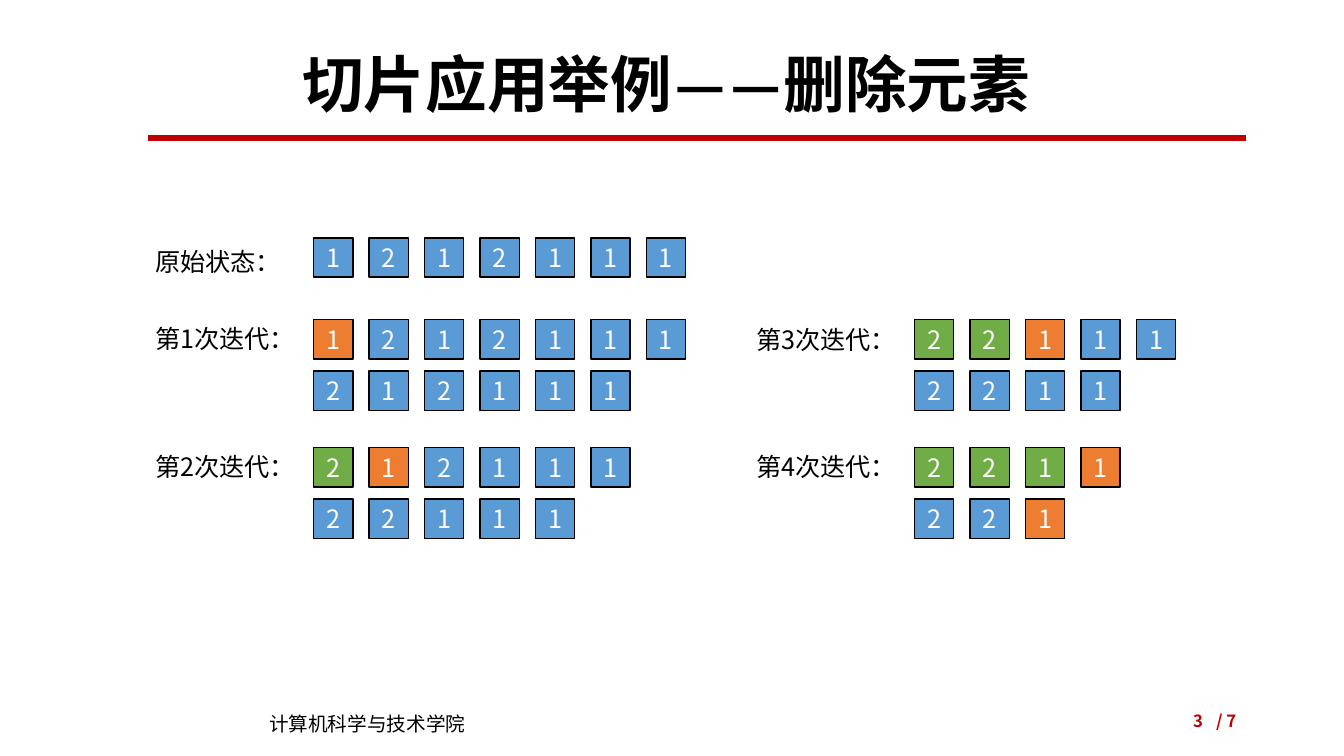
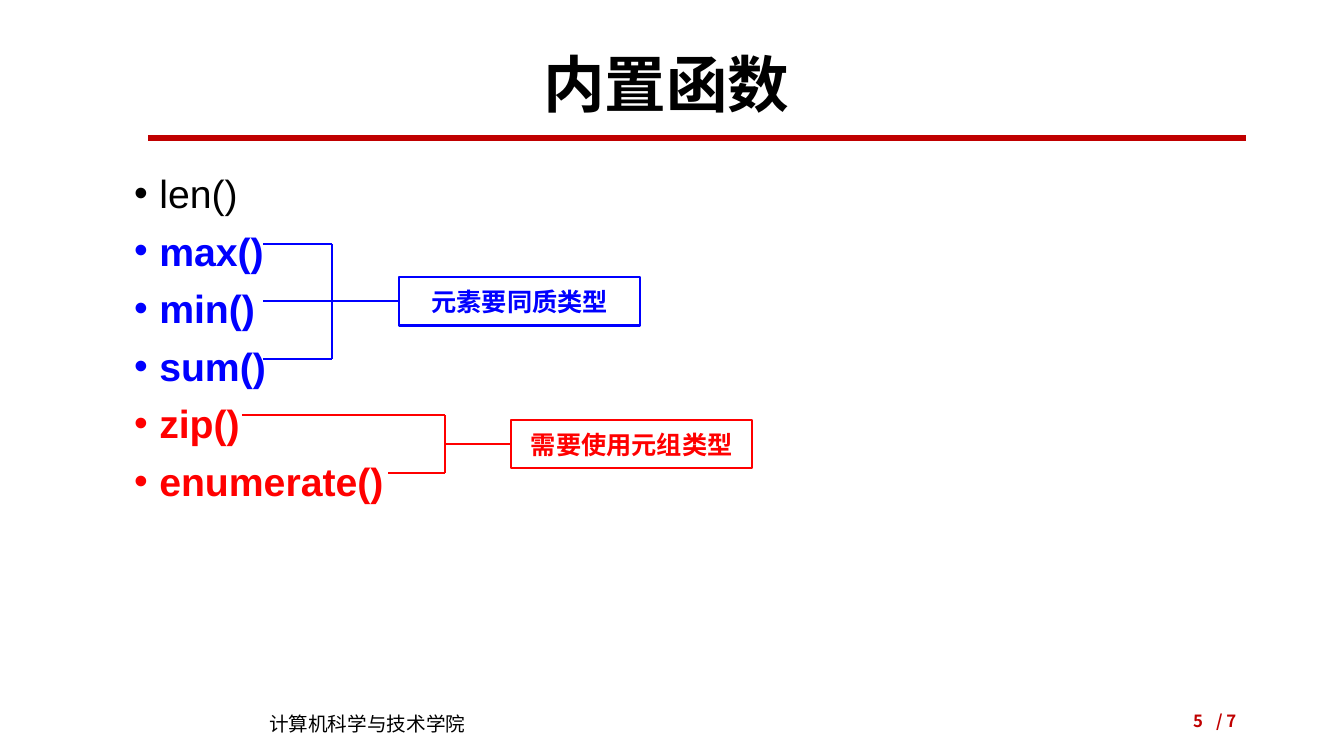
import pptx
import pptx.dml.color
import pptx.enum.shapes
import pptx.enum.text
import pptx.oxml
import pptx.oxml.ns
import pptx.util
from lxml import etree

Inches = pptx.util.Inches
Pt = pptx.util.Pt
ALIGN = pptx.enum.text.PP_ALIGN
MIDDLE = pptx.enum.text.MSO_ANCHOR.MIDDLE
NO_FIT = pptx.enum.text.MSO_AUTO_SIZE.NONE
RECTANGLE = pptx.enum.shapes.MSO_SHAPE.RECTANGLE
STRAIGHT = pptx.enum.shapes.MSO_CONNECTOR.STRAIGHT
qn = pptx.oxml.ns.qn

COLORS = {
    "black": "000000", "white": "FFFFFF", "crimson": "C00000",
    "cell": "5B9BD5", "kept": "70AD47", "deleted": "ED7D31",
    "blue": "0000FF", "red": "FF0000",
}
CJK = "Noto Sans CJK SC"
FOOTER = "计算机科学与技术学院"
TOTAL = "/ 7"

SLICE_TITLE = "切片应用举例——删除元素"
MARKS = {"-": "cell", "K": "kept", "D": "deleted"}
CELL, CELL_STEP, ROW_STEP = 0.39, 0.55, 0.51
LABEL_TO_CELLS = 1.67
LEFT, RIGHT = 1.44, 7.4
STATES = [
    ("原始状态：", LEFT, 2.36, 0.03, [("1212111", "-------")]),
    ("第1次迭代：", LEFT, 3.17, -0.01, [("1212111", "D------"), ("212111", "------")]),
    ("第2次迭代：", LEFT, 4.44, -0.01, [("212111", "KD----"), ("22111", "-----")]),
    ("第3次迭代：", RIGHT, 3.17, 0, [("22111", "KKD--"), ("2211", "----")]),
    ("第4次迭代：", RIGHT, 4.44, -0.01, [("2211", "KKKD"), ("221", "--D")]),
]

FUNCTION_TITLE = "内置函数"
FUNCTIONS = [
    ("len()", "black"), ("max()", "blue"), ("min()", "blue"),
    ("sum()", "blue"), ("zip()", "red"), ("enumerate()", "red"),
]
NOTE_WIDTH, NOTE_HEIGHT = 2.39, 0.48
NOTES = [
    {"text": "需要使用元组类型", "color": "red", "trunk": 4.41, "box": 5.07,
     "branches": [(2.4, 4.12), (3.85, 4.69)], "stem": 4.41},
    {"text": "元素要同质类型", "color": "blue", "trunk": 3.29, "box": 3.96,
     "branches": [(2.61, 2.42), (2.61, 3.56)], "stem": 2.61},
]


def rgb(name):
    return pptx.dml.color.RGBColor.from_string(COLORS[name])


def style(para, size, color, bold=False, face=CJK, align=ALIGN.LEFT):
    para.alignment = align
    for span in para.runs:
        font = span.font
        font.size, font.bold, font.name = Pt(size), bold, face
        font.color.rgb = rgb(color)
        latin = span._r.rPr.find(qn("a:latin"))
        east = etree.Element(qn("a:ea"), typeface=face)
        latin.addnext(east)


def place(shape, left, top, width, height):
    shape.left, shape.top = Inches(left), Inches(top)
    shape.width, shape.height = Inches(width), Inches(height)


def add_text(shapes, text, area, size, color, bold=False,
             align=ALIGN.LEFT, anchor=None, wrap=True):
    box = shapes.add_textbox(*map(Inches, area))
    frame = box.text_frame
    frame.text = text
    frame.word_wrap = wrap
    if anchor is not None:
        frame.vertical_anchor = anchor
    style(frame.paragraphs[0], size, color, bold, align=align)


def add_box(shapes, text, area, fill, outline, weight, color, bold=False):
    box = shapes.add_shape(RECTANGLE, *map(Inches, area))
    box.shadow.inherit = False
    box.fill.solid()
    box.fill.fore_color.rgb = rgb(fill)
    box.line.color.rgb = rgb(outline)
    box.line.width = Pt(weight)
    box.text_frame.text = text
    box.text_frame.vertical_anchor = MIDDLE
    style(box.text_frame.paragraphs[0], 18, color, bold, align=ALIGN.CENTER)
    return box


def add_line(shapes, start, end, color, weight):
    line = shapes.add_connector(STRAIGHT, *map(Inches, start + end))
    line.line.color.rgb = rgb(color)
    line.line.width = Pt(weight)
    etree.SubElement(line._element.spPr, qn("a:effectLst"))
    return line


def add_page(deck, layout, title, number):
    page = deck.slides.add_slide(deck.slide_layouts[layout])
    heading = page.shapes.title
    place(heading, 0.86, 0.4, 11.5, 0.94)
    frame = heading.text_frame
    frame.text = title
    frame.auto_size = NO_FIT
    frame.vertical_anchor = MIDDLE
    frame.paragraphs[0].line_spacing = 0.9
    style(frame.paragraphs[0], 44, "black", True, "Calibri", ALIGN.CENTER)
    add_line(page.shapes, (1.47, 1.37), (12.36, 1.37), "crimson", 4.5)
    add_text(page.shapes, FOOTER, (2.57, 7.01, 2.92, 0.34), 14, "black")
    for text, area in ((number, (9.42, 6.95, 2.61, 0.4)),
                       (TOTAL, (11.61, 6.95, 0.75, 0.4))):
        add_text(page.shapes, text, area, 12, "crimson", True, ALIGN.RIGHT, MIDDLE)
    return page


def add_state(page, label, left, top, label_shift, rows):
    shapes = page.shapes.add_group_shape().shapes
    add_text(shapes, label, (left, top + label_shift, 1.59, 0.4), 18, "black", wrap=False)
    for row, (values, marks) in enumerate(rows):
        for column, (value, mark) in enumerate(zip(values, marks)):
            area = (left + LABEL_TO_CELLS + column * CELL_STEP,
                    top + row * ROW_STEP, CELL, CELL)
            add_box(shapes, value, area, MARKS[mark], "black", 1, "white")


def fill_functions(body):
    place(body, 1.23, 1.63, 11.13, 5.12)
    frame = body.text_frame
    frame.text = "\n".join(name for name, color in FUNCTIONS)
    frame.auto_size = NO_FIT
    for index, (para, (name, color)) in enumerate(zip(frame.paragraphs, FUNCTIONS)):
        properties = para._p.get_or_add_pPr()
        properties.set("marL", str(Inches(0.25)))
        properties.set("indent", str(-Inches(0.25)))
        etree.SubElement(properties, qn("a:buFont"), typeface="Arial")
        etree.SubElement(properties, qn("a:buChar"), char="•")
        para.space_before = Pt(7.5 if index else 0)
        style(para, 28, color, color != "black", "Arial", ALIGN.JUSTIFY)


def add_note(page, note):
    shapes = page.shapes.add_group_shape().shapes
    color, trunk = note["color"], note["trunk"]
    heights = [y for x, y in note["branches"]]
    middle = sum(heights) / 2
    for x, y in note["branches"]:
        add_line(shapes, (x, y), (trunk, y), color, 1.5)
    add_line(shapes, (trunk, heights[0]), (trunk, heights[1]), color, 1.5)
    area = (note["box"], middle - NOTE_HEIGHT / 2, NOTE_WIDTH, NOTE_HEIGHT)
    box = add_box(shapes, note["text"], area, "white", color, 1.5, color, True)
    stem = add_line(shapes, (note["stem"], middle), (note["box"], middle), color, 1.5)
    stem.end_connect(box, 1)


def main():
    deck = pptx.Presentation()
    deck.slide_width, deck.slide_height = Inches(13.33), Inches(7.5)

    page = add_page(deck, 5, SLICE_TITLE, "3")
    for state in STATES:
        add_state(page, *state)

    page = add_page(deck, 1, FUNCTION_TITLE, "5")
    fill_functions(page.placeholders[1])
    for note in NOTES:
        add_note(page, note)

    deck.save("out.pptx")


if __name__ == "__main__":
    main()
